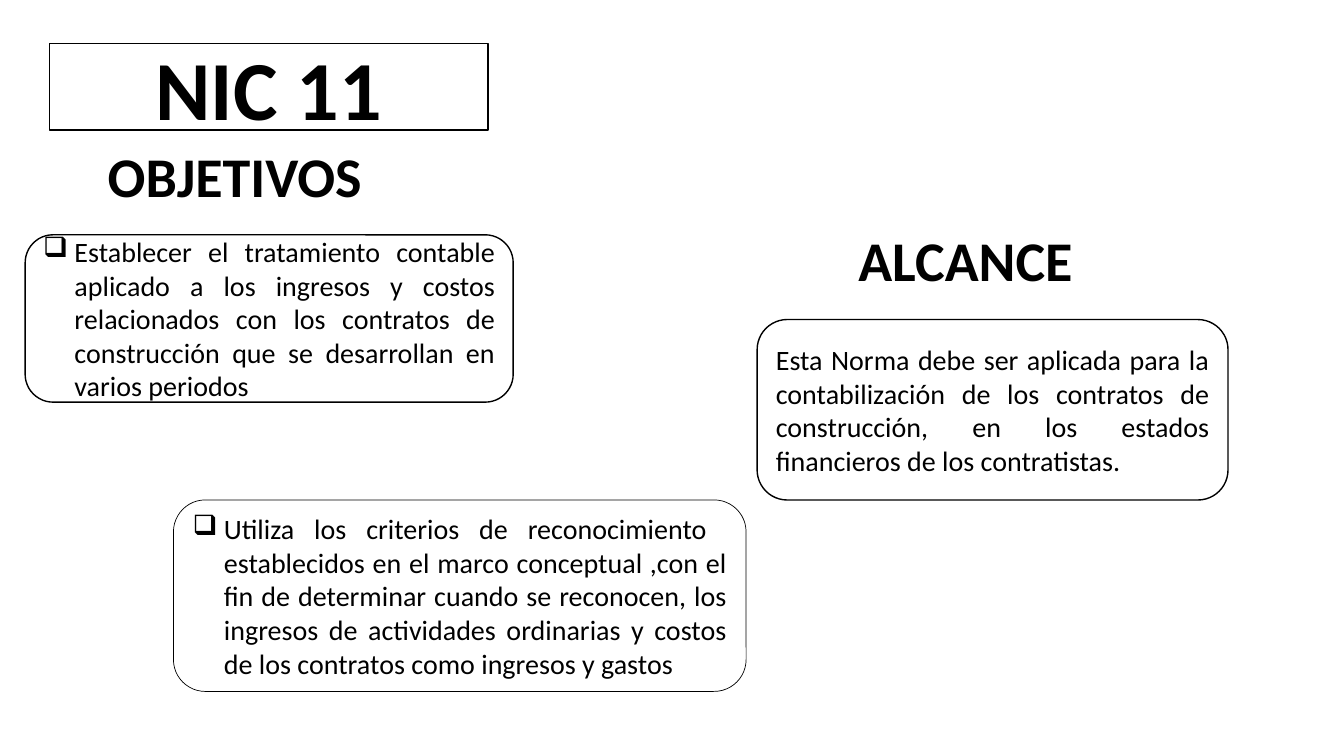
from dataclasses import dataclass

from lxml import etree
from pptx import Presentation
from pptx.dml.color import RGBColor
from pptx.enum.shapes import MSO_SHAPE
from pptx.enum.text import MSO_ANCHOR, PP_ALIGN
from pptx.oxml.ns import qn
from pptx.util import Pt

RECT, ROUND = MSO_SHAPE.RECTANGLE, MSO_SHAPE.ROUNDED_RECTANGLE
MIDDLE = MSO_ANCHOR.MIDDLE
LEFT, CENTER, JUSTIFY = PP_ALIGN.LEFT, PP_ALIGN.CENTER, PP_ALIGN.JUSTIFY
PX = 9144  # 100 px to the inch


@dataclass(frozen=True)
class Theme:
    ink: RGBColor = RGBColor(0, 0, 0)
    font: str = "Calibri"
    title: int = 60
    head: int = 40
    body: int = 20
    indent: int = 31
    bullet: str = "❑"


@dataclass(frozen=True)
class Head:
    text: str
    left: int
    top: int
    align: int
    spacing: float = 1.0
    width: int = 339
    height: int = 76


@dataclass(frozen=True)
class Card:
    text: str
    left: int
    top: int
    width: int
    height: int
    line: float = 1
    bullet: bool = False


THEME = Theme()

HEADS = (
    Head("OBJETIVOS", 97, 143, LEFT, spacing=0.9),
    Head("ALCANCE", 788, 219, CENTER),
)

CARDS = (
    Card("Establecer el tratamiento contable aplicado a los ingresos y costos "
         "relacionados con los contratos de construcción que se desarrollan en "
         "varios periodos", 25, 233, 484, 166, bullet=True),
    Card("Esta Norma debe ser aplicada para la contabilización de los contratos "
         "de construcción, en los estados financieros de los contratistas.",
         751, 317, 467, 179),
    Card("Utiliza los criterios de reconocimiento  establecidos en el marco "
         "conceptual ,con el fin de determinar cuando se reconocen, los ingresos "
         "de actividades ordinarias y costos de los contratos como ingresos y "
         "gastos", 172, 496, 568, 190, line=0.5, bullet=True),
)


def write(frame, text: str, *, size: int, align: int, bold: bool = False,
          spacing: float = 1.0, bullet: bool = False) -> None:
    frame.word_wrap = True
    para = frame.paragraphs[0]
    para.text = text
    para.alignment = align
    para.line_spacing = spacing
    if bullet:
        props = para._p.get_or_add_pPr()
        props.set("marL", str(THEME.indent * PX))
        props.set("indent", str(-THEME.indent * PX))
        etree.SubElement(props, qn("a:buChar")).set("char", THEME.bullet)
    font = para.runs[0].font
    font.name, font.size, font.bold = THEME.font, Pt(size), bold
    font.color.rgb = THEME.ink


def frame_box(slide, kind: int, card: Card):
    box = slide.shapes.add_shape(kind, card.left * PX, card.top * PX,
                                 card.width * PX, card.height * PX)
    box.shadow.inherit = False
    box.fill.background()
    box.line.color.rgb = THEME.ink
    box.line.width = Pt(card.line)
    box.text_frame.vertical_anchor = MIDDLE
    return box.text_frame


def add_head(slide, head: Head) -> None:
    box = slide.shapes.add_textbox(head.left * PX, head.top * PX,
                                   head.width * PX, head.height * PX)
    write(box.text_frame, head.text, size=THEME.head, align=head.align,
          bold=True, spacing=head.spacing)


def add_card(slide, card: Card) -> None:
    write(frame_box(slide, ROUND, card), card.text, size=THEME.body,
          align=JUSTIFY, bullet=card.bullet)


def add_title(slide, card: Card) -> None:
    write(frame_box(slide, RECT, card), card.text, size=THEME.title,
          align=CENTER, bold=True)


def main() -> None:
    deck = Presentation()
    deck.slide_width, deck.slide_height = 1333 * PX, 750 * PX
    slide = deck.slides.add_slide(deck.slide_layouts[6])

    # Title
    add_title(slide, Card("NIC 11", 49, 43, 435, 86))

    # Section headings
    for head in HEADS:
        add_head(slide, head)

    # Rounded text cards
    for card in CARDS:
        add_card(slide, card)

    deck.save("out.pptx")


if __name__ == "__main__":
    main()
